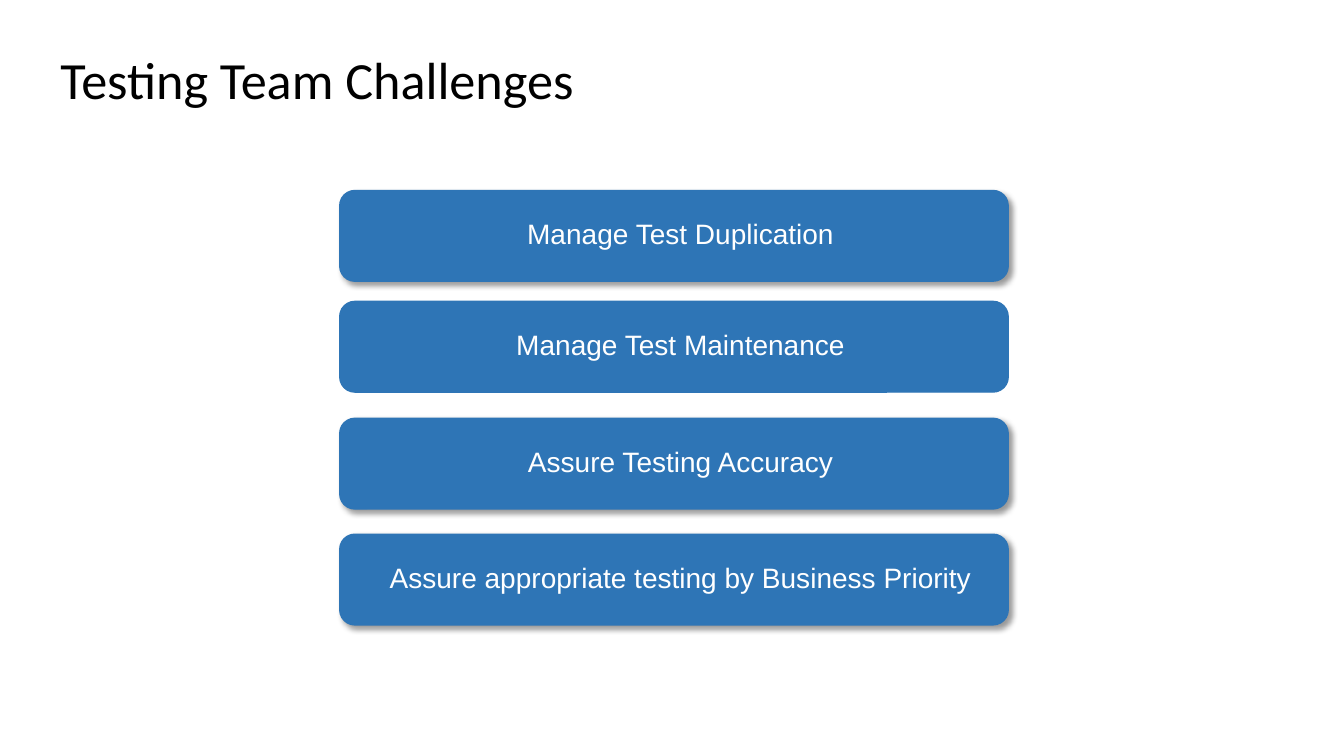
from lxml import etree
from pptx import Presentation
from pptx.dml.color import RGBColor
from pptx.enum.shapes import MSO_SHAPE
from pptx.enum.text import MSO_ANCHOR, PP_ALIGN
from pptx.oxml import parse_xml
from pptx.oxml.ns import nsdecls
from pptx.util import Inches, Pt

COLORS = {"text": "000000", "bar": "2E75B6", "label": "FFFFFF", "shadow": "000000"}
BAR_LEFT, BAR_WIDTH, BAR_HEIGHT = 3.37, 6.63, 0.9
LABEL_HEIGHT = 0.82
CHALLENGES = [
    ("Manage Test Duplication", 1.89, 6.5, 0.14, True),
    ("Manage Test Maintenance", 2.99, 6.45, 0.2, False),
    ("Assure Testing Accuracy", 4.15, 6.45, 0.2, True),
    ("Assure appropriate testing by Business Priority", 5.3, 6.45, 0.2, True),
]


def add_blue_shape(kind, left, top, width, height, line_width):
    shape = slide.shapes.add_shape(
        kind, Inches(left), Inches(top), Inches(width), Inches(height))
    shape.shadow.inherit = False
    shape.fill.solid()
    shape.fill.fore_color.rgb = RGBColor.from_string(COLORS["bar"])
    shape.line.color.rgb = RGBColor.from_string(COLORS["bar"])
    shape.line.width = Pt(line_width)
    return shape


def add_shadow(shape):
    effects = shape.element.spPr.find("{*}effectLst")
    effects.append(parse_xml(
        f'<a:outerShdw {nsdecls("a")} blurRad="{Pt(4)}" dist="{Pt(3)}" '
        f'dir="{45 * 60000}" algn="tl" rotWithShape="0">'
        f'<a:srgbClr val="{COLORS["shadow"]}"><a:alpha val="40000"/></a:srgbClr>'
        '</a:outerShdw>'))


presentation = Presentation()
presentation.slide_width = Inches(13.33)
presentation.slide_height = Inches(7.5)
slide = presentation.slides.add_slide(presentation.slide_layouts[5])

title = slide.shapes.title
title.left, title.top = Inches(0.5), Inches(0.44)
title.width, title.height = Inches(12.21), Inches(0.69)
title.text_frame.text = "Testing Team Challenges"
title.text_frame.vertical_anchor = MSO_ANCHOR.MIDDLE
paragraph = title.text_frame.paragraphs[0]
paragraph.alignment = PP_ALIGN.LEFT
paragraph.line_spacing = Pt(44)
paragraph.font.name = "Calibri"
paragraph.font.size = Pt(37.3)
paragraph.font.color.rgb = RGBColor.from_string(COLORS["text"])

for challenge, top, label_width, inset, has_shadow in CHALLENGES:
    bar = add_blue_shape(
        MSO_SHAPE.ROUNDED_RECTANGLE, BAR_LEFT, top, BAR_WIDTH, BAR_HEIGHT, 1)
    if has_shadow:
        add_shadow(bar)

    label = add_blue_shape(
        MSO_SHAPE.RECTANGLE, BAR_LEFT + (BAR_WIDTH - label_width) / 2,
        top + (BAR_HEIGHT - LABEL_HEIGHT) / 2, label_width, LABEL_HEIGHT, 0.75)
    frame = label.text_frame
    frame.word_wrap = True
    frame.vertical_anchor = MSO_ANCHOR.MIDDLE
    frame.margin_left = frame.margin_right = Inches(inset)
    frame.margin_top = frame.margin_bottom = Inches(inset)
    frame.text = challenge
    paragraph = frame.paragraphs[0]
    paragraph.alignment = PP_ALIGN.CENTER
    paragraph.line_spacing = 0.9
    paragraph.space_after = Pt(7)
    paragraph.font.name = "Arial"
    paragraph.font.size = Pt(20)
    paragraph.font.color.rgb = RGBColor.from_string(COLORS["label"])
    properties = paragraph._p.get_or_add_pPr()
    properties.set("marL", str(Inches(0.13)))
    properties.set("indent", "0")

presentation.save("out.pptx")
